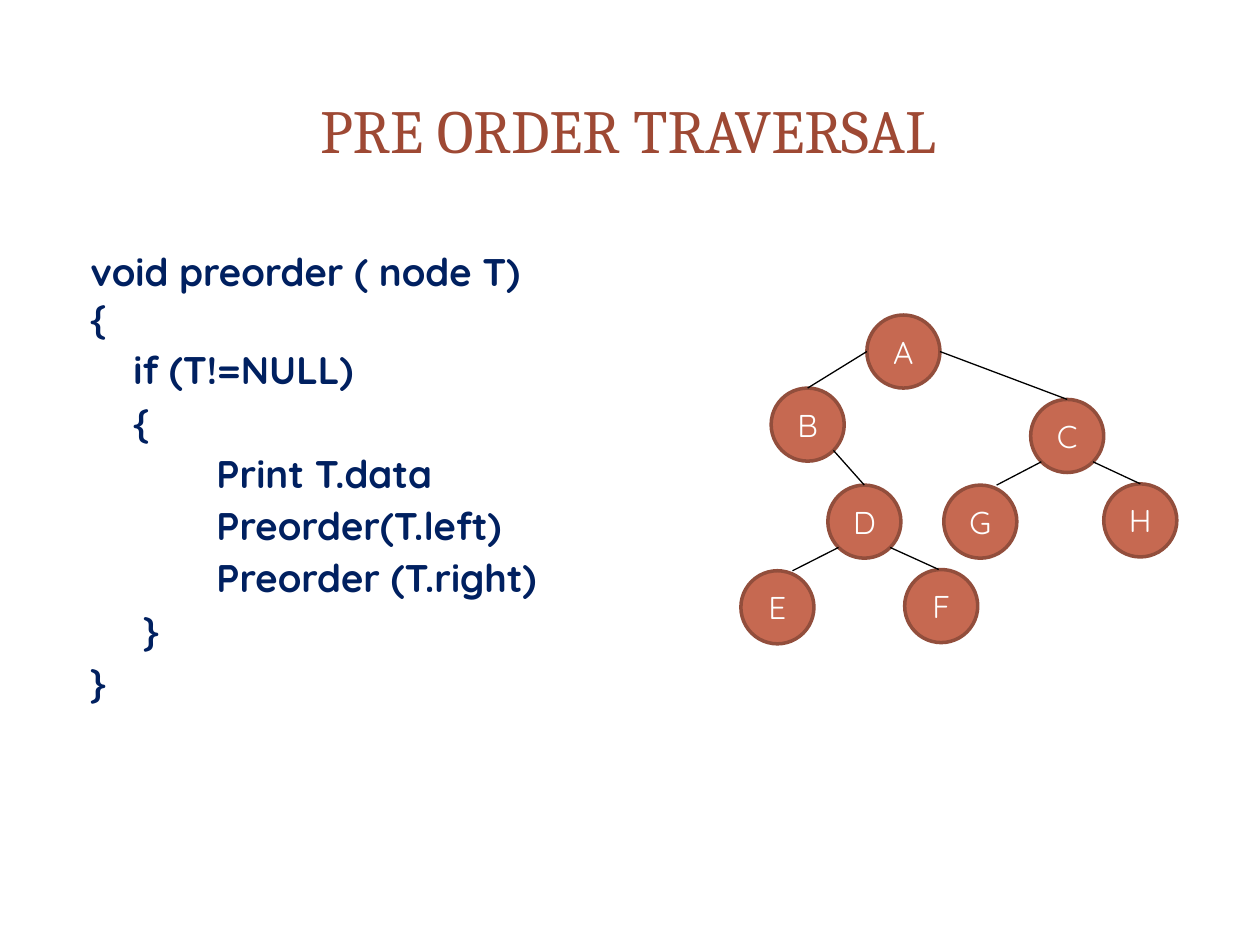
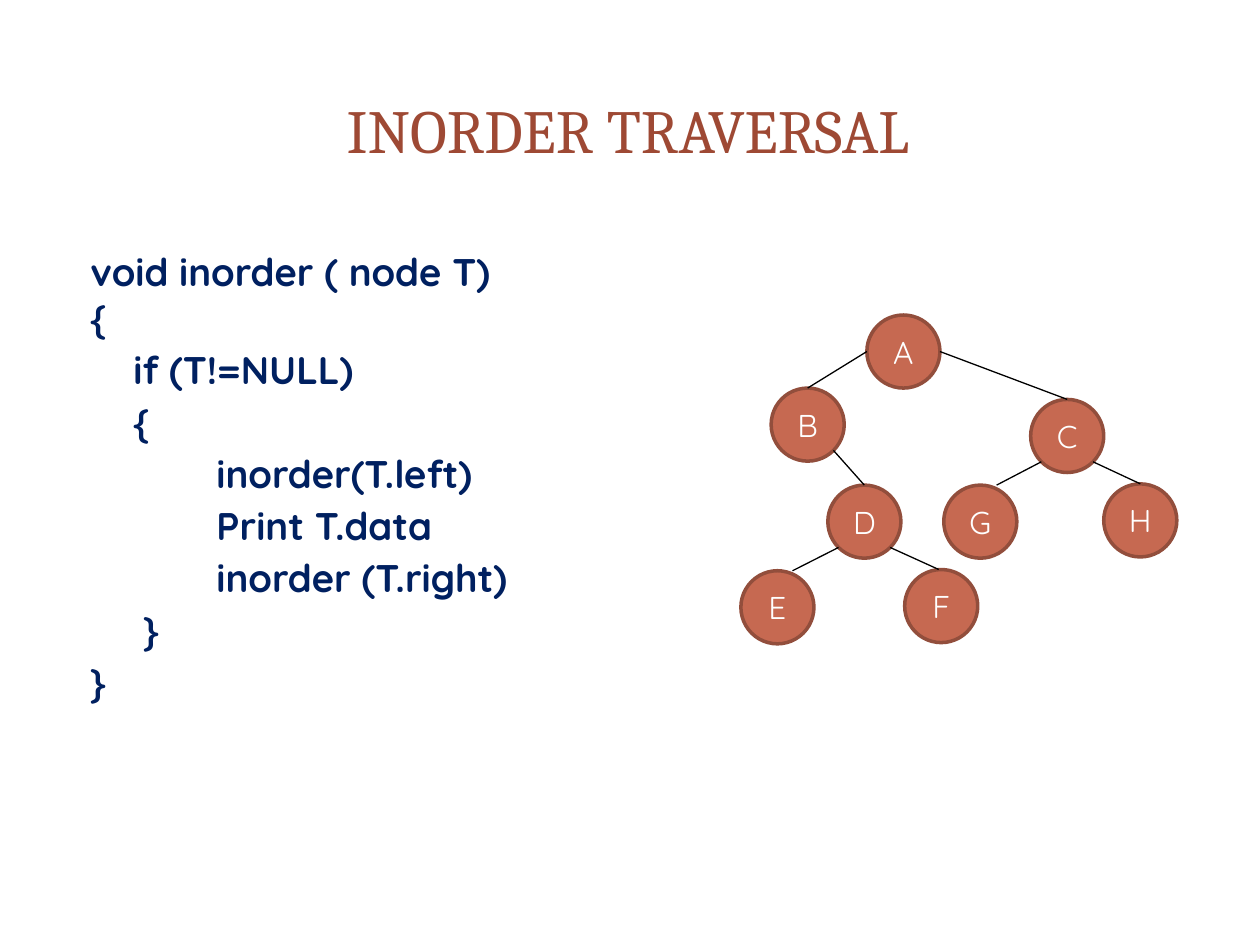
"""Two slides on tree traversal: pseudocode beside a binary tree."""
from math import cos, radians, sin

from lxml import etree
from pptx import Presentation
from pptx.dml.color import RGBColor
from pptx.enum.shapes import MSO_CONNECTOR, MSO_SHAPE
from pptx.enum.text import MSO_ANCHOR, PP_ALIGN
from pptx.oxml.ns import qn
from pptx.util import Inches, Pt

STRAIGHT, OVAL = MSO_CONNECTOR.STRAIGHT, MSO_SHAPE.OVAL
MIDDLE, CENTER, LEFT = MSO_ANCHOR.MIDDLE, PP_ALIGN.CENTER, PP_ALIGN.LEFT

SLIDES = [
    ("PRE ORDER TRAVERSAL", "void preorder ( node T)",
     ["Print T.data", "Preorder(T.left)", "Preorder (T.right)"]),
    ("INORDER TRAVERSAL", "void inorder ( node T)",
     ["inorder(T.left)", "Print T.data", "inorder (T.right)"]),
]
NODES = {
    "A": (6.88, 2.5), "B": (6.12, 3.08), "C": (8.18, 3.17), "D": (6.57, 3.85),
    "E": (5.88, 4.53), "F": (7.18, 4.52), "G": (7.49, 3.85), "H": (8.76, 3.84),
}
# parent, child, angle where the edge leaves the parent, shift from the child's top
EDGES = [
    ("A", "B", 180, 0), ("A", "C", 0, 0), ("B", "D", 45, 0),
    ("D", "E", 135, 0.12), ("D", "F", 45, -0.02),
    ("C", "G", 135, 0.13), ("C", "H", 45, 0),
]
RADIUS = 0.29
OUTER, BLOCK, BLOCK_END, INNER = 0.12, 0.46, 0.54, 1.12

TITLE_FONT = {"name": "Cambria", "size": Pt(35), "bold": False}
CODE_FONT = {"name": "Quicksand", "size": Pt(22), "bold": True}
NODE_FONT = {"name": "Quicksand", "size": Pt(18), "bold": False}
NO_MARGINS = dict.fromkeys(
    ("margin_left", "margin_right", "margin_top", "margin_bottom"), 0)


def rgb(color):
    return RGBColor.from_string(color)


def set_all(target, values):
    for name, value in values.items():
        setattr(target, name, value)


def write(p, text, font, color, align):
    p.text = text
    p.alignment = align
    for r in p.runs:
        set_all(r.font, font)
        r.font.color.rgb = rgb(color)


def add_title(s, text):
    sp = s.shapes.title
    set_all(sp, {"left": Inches(0.47), "top": Inches(0.45),
                 "width": Inches(9.03), "height": Inches(1.14)})
    sp.text_frame.vertical_anchor = MIDDLE
    write(sp.text_frame.paragraphs[0], text, TITLE_FONT, "9E4934", CENTER)


def add_code(s, signature, steps):
    lines = [(OUTER, signature + "\n{"), (BLOCK, "if (T!=NULL)"), (BLOCK, "{"),
             *((INNER, step) for step in steps), (BLOCK_END, "}"), (OUTER, "}")]
    box = s.shapes.add_textbox(Inches(0.5), Inches(1.92), Inches(9), Inches(4.78))
    tf = box.text_frame
    tf.word_wrap = True
    for i, (indent, text) in enumerate(lines):
        p = tf.add_paragraph() if i else tf.paragraphs[0]
        write(p, text, CODE_FONT, "002060", LEFT)
        p.space_before = Pt(3.3)
        p._p.get_or_add_pPr().set("marL", str(Inches(indent)))


def add_node(s, label, x, y):
    sp = s.shapes.add_shape(OVAL, Inches(x), Inches(y),
                            Inches(2 * RADIUS), Inches(2 * RADIUS))
    sp.shadow.inherit = False
    sp.fill.solid()
    sp.fill.fore_color.rgb = rgb("C66951")
    sp.line.color.rgb = rgb("924E3C")
    sp.line.width = Pt(2)
    set_all(sp.text_frame, {**NO_MARGINS, "vertical_anchor": MIDDLE})
    write(sp.text_frame.paragraphs[0], label, NODE_FONT, "FFFFFF", CENTER)


def add_edge(s, parent, child, angle, shift):
    px, py = NODES[parent]
    cx, cy = NODES[child]
    ends = (px + RADIUS * (1 + cos(radians(angle))),
            py + RADIUS * (1 + sin(radians(angle))),
            cx + RADIUS + shift, cy)
    line = s.shapes.add_connector(STRAIGHT, *map(Inches, ends))
    line.line.color.rgb = rgb("000000")
    line.line.width = Pt(0.75)
    etree.SubElement(line._element.spPr, qn("a:effectLst"))


def main():
    prs = Presentation()
    prs.slide_width, prs.slide_height = Inches(10), Inches(7.5)
    for title, signature, steps in SLIDES:
        s = prs.slides.add_slide(prs.slide_layouts[5])
        add_title(s, title)
        add_code(s, signature, steps)
        for label, (x, y) in NODES.items():
            add_node(s, label, x, y)
        for edge in EDGES:
            add_edge(s, *edge)
    prs.save("out.pptx")


if __name__ == "__main__":
    main()
